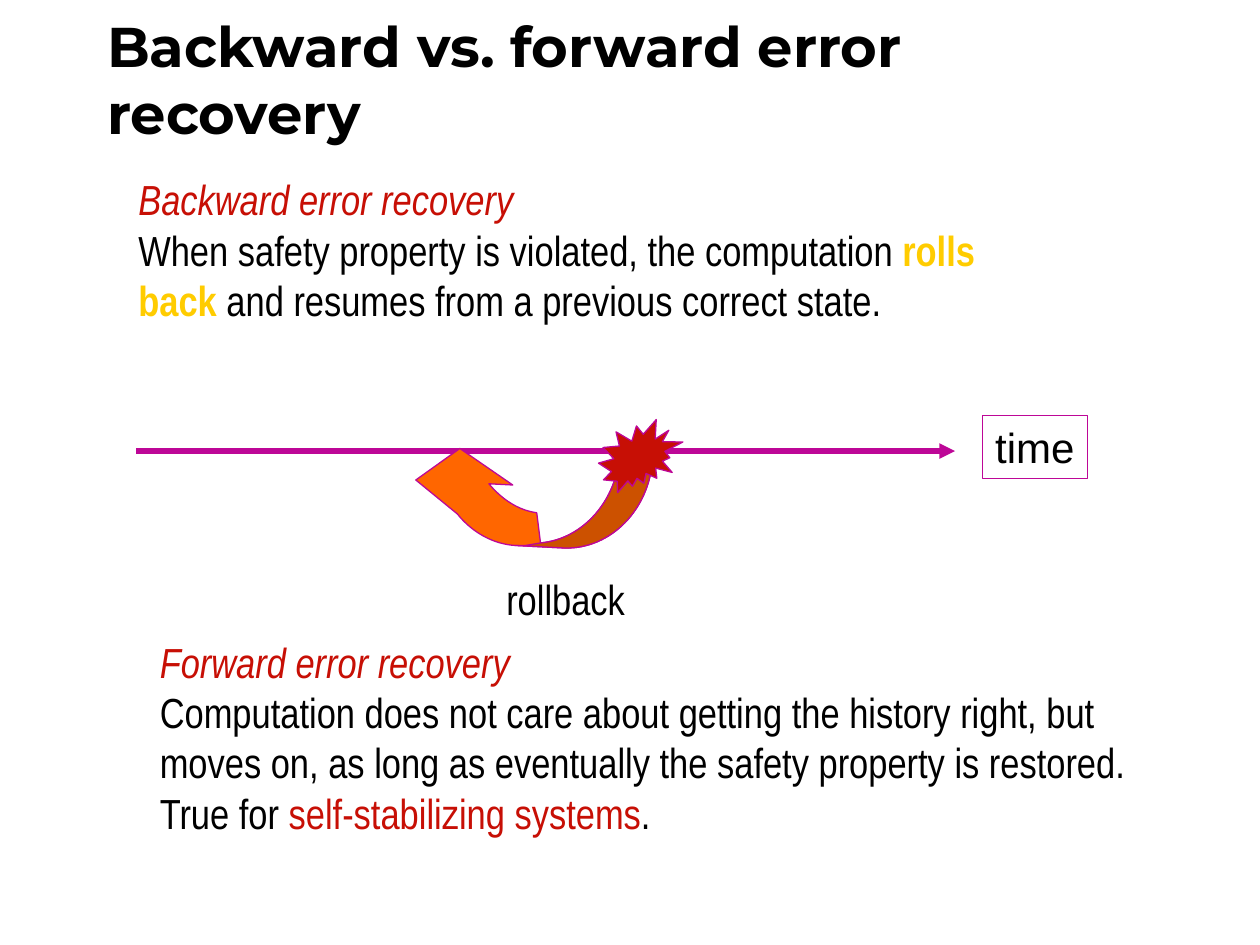
from lxml.etree import SubElement
from pptx import Presentation
from pptx.dml.color import RGBColor
from pptx.enum.shapes import MSO_CONNECTOR, MSO_SHAPE
from pptx.enum.text import MSO_ANCHOR, MSO_AUTO_SIZE, PP_ALIGN
from pptx.oxml.ns import qn
from pptx.util import Inches, Pt

BLACK = RGBColor(0x00, 0x00, 0x00)
RED = RGBColor(0xC7, 0x0F, 0x05)
YELLOW = RGBColor(0xFF, 0xCC, 0x00)
MAGENTA = RGBColor(0xBD, 0x07, 0x97)
ORANGE = RGBColor(0xFF, 0x66, 0x00)

PLAIN = (BLACK, False, False)
HEADING = (RED, False, True)
STRONG = (YELLOW, True, False)
ACCENT = (RED, False, False)

TITLE = "Backward vs. forward error recovery"
BACKWARD = [
    [("Backward error recovery", HEADING)],
    [("When safety property is violated, the computation ", PLAIN),
     ("rolls back", STRONG),
     (" and resumes from a previous correct state.", PLAIN)],
]
FORWARD = [
    [("Forward error recovery", HEADING)],
    [("Computation does not care about getting the history right, but moves on, "
      "as long as eventually the safety property is restored.", PLAIN)],
    [("True for ", PLAIN), ("self-stabilizing systems", ACCENT), (".", PLAIN)],
]
ROLLBACK = [[("rollback", PLAIN)]]
TIME = [[("time", PLAIN)]]

TAIL_OUTER = [(5.18, 3.63), (5.16, 4.04, 4.85, 4.36, 4.48, 4.35), (4.09, 4.33)]
TAIL_INNER = [(4.29, 4.31), (4.63, 4.28, 4.9, 3.97, 4.92, 3.59)]
HEAD = [
    (3.92, 4.32, 3.75, 4.23, 3.63, 4.08), (3.3, 3.81), (3.65, 3.56),
    (4.07, 3.85), (3.88, 3.84), (3.98, 3.96, 4.11, 4.05, 4.26, 4.07),
]
FOLD = [(4.12, 4.33, 4.15, 4.33, 4.17, 4.33)]
ARROW = TAIL_OUTER + HEAD + TAIL_INNER
ARROW_SHADE = TAIL_OUTER + FOLD + TAIL_INNER


def write(shape, paragraphs, font_name, wrap):
    frame = shape.text_frame
    frame.word_wrap = wrap
    frame.vertical_anchor = MSO_ANCHOR.TOP
    for index, runs in enumerate(paragraphs):
        paragraph = frame.add_paragraph() if index else frame.paragraphs[0]
        paragraph.alignment = PP_ALIGN.LEFT
        paragraph.font.name = font_name
        paragraph.font.size = Pt(24)
        for text, (color, bold, italic) in runs:
            run = paragraph.add_run()
            run.text = text
            run.font.color.rgb = color
            run.font.bold = bold
            run.font.italic = italic


def add_text(slide, box, paragraphs, wrap=True):
    shape = slide.shapes.add_textbox(*map(Inches, box))
    write(shape, paragraphs, "Arial Narrow", wrap)


def paint(shape, fill=None):
    shape.shadow.inherit = False
    if fill is None:
        shape.fill.background()
    else:
        shape.fill.solid()
        shape.fill.fore_color.rgb = fill
    shape.line.color.rgb = MAGENTA
    shape.line.width = Pt(0.75)


def corners(segment):
    lengths = [Inches(value) for value in segment]
    return list(zip(lengths[::2], lengths[1::2]))


def bend(steps, segments):
    for segment in segments:
        if len(segment) == 6:
            curve, *others = [next(steps) for _ in range(3)]
            curve.tag = qn("a:cubicBezTo")
            for other in others:
                curve.append(other[0])
                other.getparent().remove(other)
        else:
            next(steps)


def add_rollback_arrow(slide):
    builder = slide.shapes.build_freeform(*corners(ARROW[0])[0], scale=1)
    for outline in (ARROW, ARROW_SHADE):
        if outline is ARROW_SHADE:
            builder.move_to(*corners(outline[0])[0])
        builder.add_line_segments(
            [corner for segment in outline[1:] for corner in corners(segment)], close=True)
    arrow = builder.convert_to_shape()
    paint(arrow, ORANGE)

    body = next(arrow._element.iter(qn("a:path")))
    steps = list(body)
    shade_start = steps.index(body.findall(qn("a:moveTo"))[1])
    shade = SubElement(body.getparent(), qn("a:path"), dict(body.attrib), fill="darkenLess")
    shade.extend(steps[shade_start:])
    for outline, segments in ((body, ARROW), (shade, ARROW_SHADE)):
        bend(iter(list(outline)), segments)


def add_timeline(slide):
    timeline = slide.shapes.add_connector(
        MSO_CONNECTOR.STRAIGHT, *map(Inches, (1.08, 3.58, 7.58, 3.58)))
    timeline.line.color.rgb = MAGENTA
    timeline.line.width = Pt(3)
    SubElement(timeline.line._get_or_add_ln(), qn("a:tailEnd"), type="triangle")
    SubElement(timeline._element.spPr, qn("a:effectLst"))


def main():
    deck = Presentation()
    deck.slide_width, deck.slide_height = Inches(10), Inches(7.5)
    slide = deck.slides.add_slide(deck.slide_layouts[5])

    title = slide.shapes.title
    title.left, title.top, title.width, title.height = map(Inches, (0.75, 0, 8.5, 1.25))
    title.text_frame.text = TITLE
    title.text_frame.auto_size = MSO_AUTO_SIZE.NONE
    title.text_frame.vertical_anchor = MSO_ANCHOR.MIDDLE
    heading = title.text_frame.paragraphs[0]
    heading.alignment = PP_ALIGN.LEFT
    heading.font.name = "Montserrat"
    heading.font.size = Pt(32)
    heading.font.bold = True
    heading.font.color.rgb = BLACK

    add_text(slide, (1, 1.33, 7.4, 1.7), BACKWARD)
    add_timeline(slide)

    time_label = slide.shapes.add_shape(
        MSO_SHAPE.RECTANGLE, *map(Inches, (7.8, 3.3, 0.83, 0.5)))
    paint(time_label)
    write(time_label, TIME, "Arial", False)

    add_rollback_arrow(slide)

    failure = slide.shapes.add_shape(
        MSO_SHAPE.EXPLOSION2, *map(Inches, (4.75, 3.33, 0.67, 0.58)))
    paint(failure, RED)

    add_text(slide, (3.92, 4.5, 1.14, 0.5), ROLLBACK, wrap=False)
    add_text(slide, (1.17, 5, 7.9, 1.7), FORWARD)
    deck.save("out.pptx")


if __name__ == "__main__":
    main()
